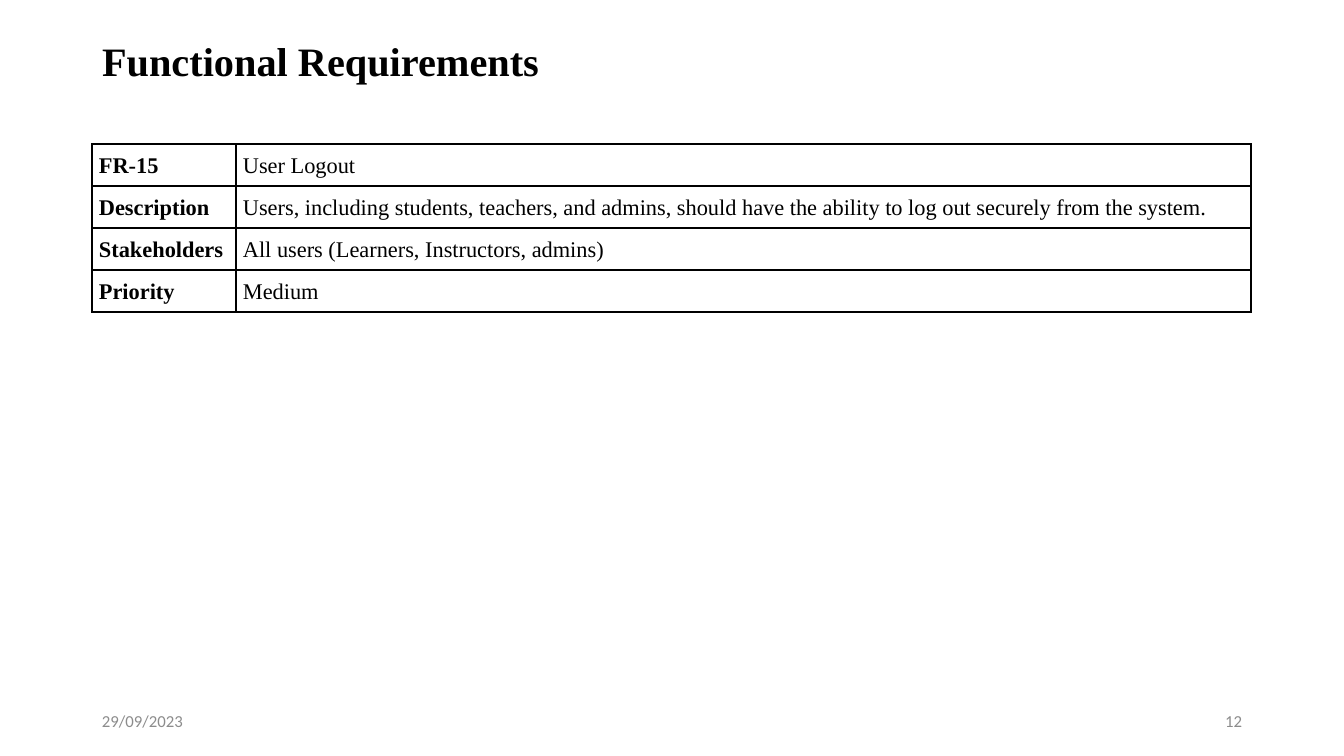
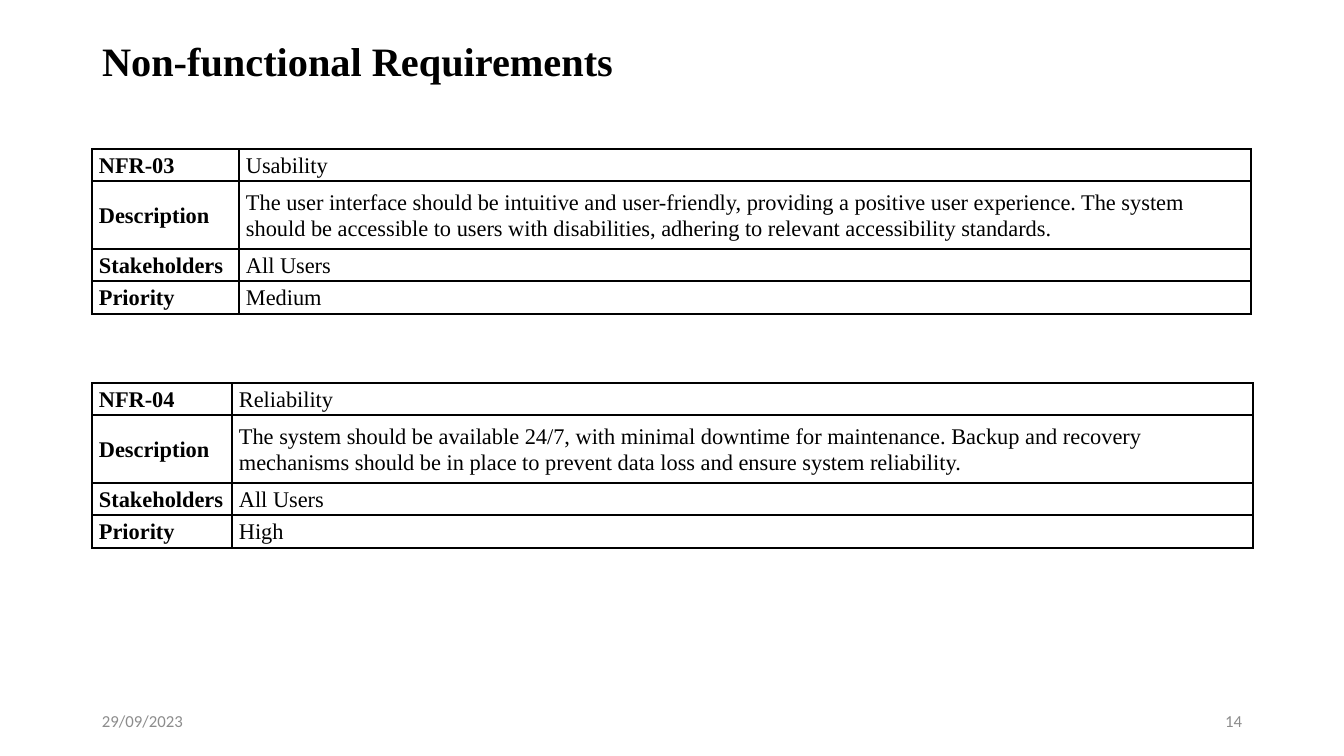
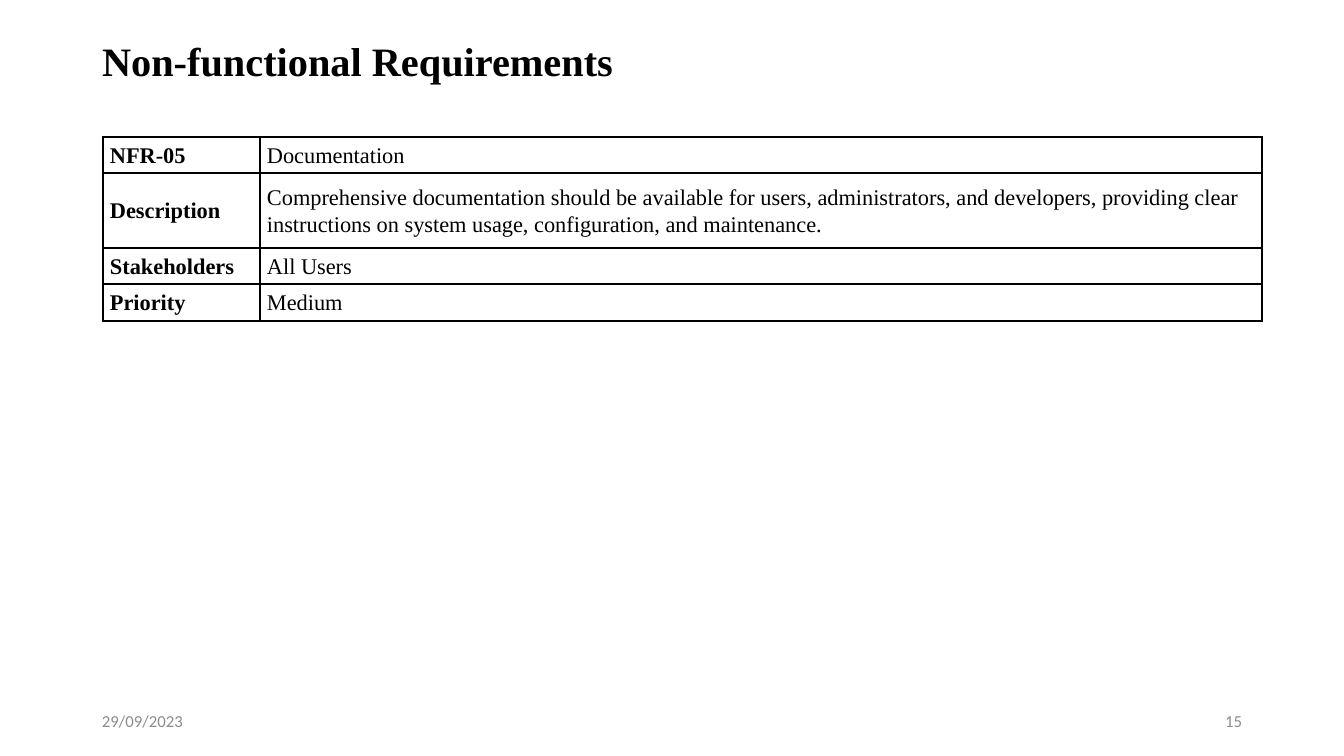
from lxml import etree
from pptx import Presentation
from pptx import util as u
from pptx.dml import color
from pptx.enum import text
from pptx.oxml import ns

PX = 914400 / 100.8
COLORS = {"ink": "000000", "footer": "8C8C8C", "page": "FFFFFF"}
SERIF, SANS = "Times New Roman", "Calibri"
TITLE_BOX = (92, 35, 1160, 56)
FOOTER_BOX = (92, 701, 1160, 40)
FOOTER_PART_WIDTH = 302
DATE = "29/09/2023"
LABELS = ("Description", "Stakeholders", "Priority")

SLIDES = [
    ("Functional Requirements", "12", [
        ((92, 144), (144, 1015), (42, 42, 42, 42), "FR-15",
         ("User Logout",
          "Users, including students, teachers, and admins, should have the ability "
          "to log out securely from the system.",
          "All users (Learners, Instructors, admins)",
          "Medium")),
    ]),
    ("Non-functional Requirements", "14", [
        ((92, 149), (147, 1012), (32, 68, 32, 33), "NFR-03",
         ("Usability",
          "The user interface should be intuitive and user-friendly, providing a "
          "positive user experience. The system should be accessible to users with "
          "disabilities, adhering to relevant accessibility standards.",
          "All Users",
          "Medium")),
        ((92, 383), (140, 1021), (32, 68, 32, 33), "NFR-04",
         ("Reliability",
          "The system should be available 24/7, with minimal downtime for "
          "maintenance. Backup and recovery mechanisms should be in place to prevent "
          "data loss and ensure system reliability.",
          "All Users",
          "High")),
    ]),
    ("Non-functional Requirements", "15", [
        ((103, 137), (157, 1002), (36, 75, 36, 37), "NFR-05",
         ("Documentation",
          "Comprehensive documentation should be available for users, administrators, "
          "and developers, providing clear instructions on system usage, "
          "configuration, and maintenance.",
          "All Users",
          "Medium")),
    ]),
]


def px(length):
    """Turn a length in px into EMU."""
    return u.Emu(round(length * PX))


def add_run(paragraph, words, size, font, ink, bold=False):
    """Add one formatted run to a paragraph."""
    run = paragraph.add_run()
    run.text = words
    run.font.size = u.Pt(size)
    run.font.name = font
    run.font.bold = bold
    run.font.color.rgb = color.RGBColor.from_string(COLORS[ink])


def add_title(slide, box, words):
    """Place and fill the slide's title placeholder."""
    title = slide.shapes.title
    title.left, title.top, title.width, title.height = map(px, box)
    frame = title.text_frame
    frame.word_wrap = True
    frame.auto_size = text.MSO_AUTO_SIZE.NONE
    frame.vertical_anchor = text.MSO_ANCHOR.MIDDLE
    heading = frame.paragraphs[0]
    heading.alignment = text.PP_ALIGN.LEFT
    heading.line_spacing = 0.9
    add_run(heading, words, 28.8, SERIF, "ink", True)


def add_footer(slide, box, number):
    """Put the date at the left end of the box and the number at the right."""
    left, top, width, height = box
    parts = ((left, DATE, text.PP_ALIGN.LEFT),
             (left + width - FOOTER_PART_WIDTH, number, text.PP_ALIGN.RIGHT))
    for part_left, words, alignment in parts:
        note = slide.shapes.add_textbox(
            *map(px, (part_left, top, FOOTER_PART_WIDTH, height)))
        frame = note.text_frame
        frame.word_wrap = True
        frame.vertical_anchor = text.MSO_ANCHOR.MIDDLE
        frame.paragraphs[0].alignment = alignment
        add_run(frame.paragraphs[0], words, 12, SANS, "footer")


def add_borders(cell):
    """Draw a thin line on all four sides of a cell."""
    properties = cell._tc.get_or_add_tcPr()
    for index, side in enumerate(("lnL", "lnR", "lnT", "lnB")):
        line = etree.Element(ns.qn(f"a:{side}"), w=str(u.Pt(1)))
        fill = etree.SubElement(line, ns.qn("a:solidFill"))
        etree.SubElement(fill, ns.qn("a:srgbClr"), val=COLORS["ink"])
        properties.insert(index, line)


def fill_cell(cell, words, bold):
    """Format one requirement cell and write its text."""
    cell.fill.background()
    add_borders(cell)
    cell.margin_left = cell.margin_right = px(7)
    cell.margin_top = cell.margin_bottom = 0
    cell.vertical_anchor = text.MSO_ANCHOR.MIDDLE
    paragraph = cell.text_frame.paragraphs[0]
    paragraph.line_spacing = 1.07
    paragraph.space_after = u.Pt(8)
    add_run(paragraph, words, 16, SERIF, "ink", bold)


def add_requirement(slide, corner, widths, heights, code, details):
    """Build one requirement table from its top left corner."""
    box = (*corner, sum(widths), sum(heights))
    table = slide.shapes.add_table(len(heights), len(widths), *map(px, box)).table
    table.first_row = table.horz_banding = False
    for column, width in zip(table.columns, widths):
        column.width = px(width)
    for row, height, label, detail in zip(table.rows, heights, (code, *LABELS), details):
        row.height = px(height)
        fill_cell(row.cells[0], label, True)
        fill_cell(row.cells[1], detail, False)


def add_requirements_slide(deck, title, number, requirements):
    """Add a slide with a title, a footer and its requirement tables."""
    slide = deck.slides.add_slide(deck.slide_layouts[5])
    add_title(slide, TITLE_BOX, title)
    add_footer(slide, FOOTER_BOX, number)
    for requirement in requirements:
        add_requirement(slide, *requirement)


def main():
    """Build and save the deck."""
    deck = Presentation()
    deck.slide_width, deck.slide_height = px(1344), px(756)
    page = deck.slide_master.background.fill
    page.solid()
    page.fore_color.rgb = color.RGBColor.from_string(COLORS["page"])
    for content in SLIDES:
        add_requirements_slide(deck, *content)
    deck.save("out.pptx")


if __name__ == "__main__":
    main()
